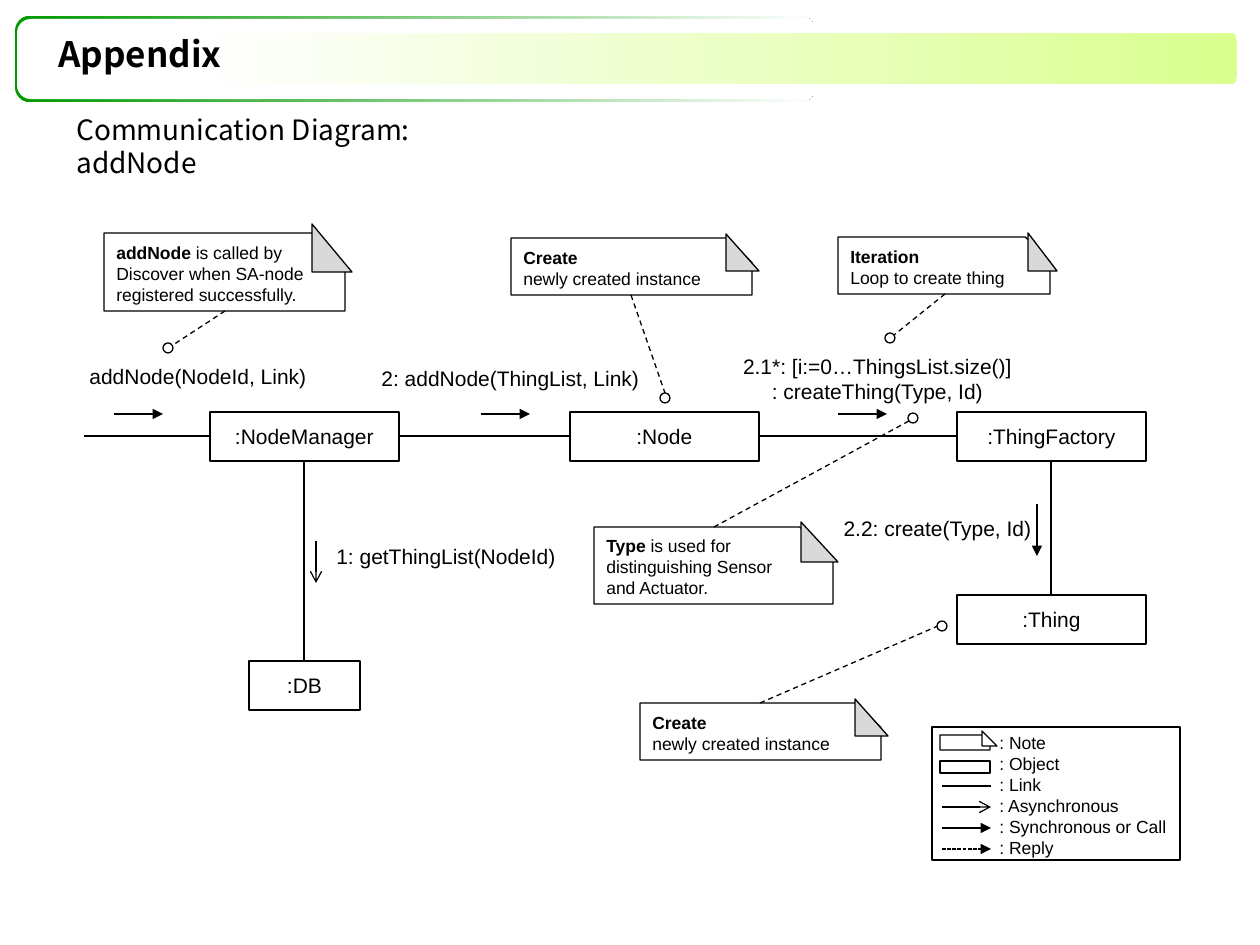
"""Build the addNode communication diagram slide."""
from lxml.etree import SubElement
from pptx import Presentation
from pptx.dml.color import RGBColor
from pptx.enum.dml import MSO_LINE
from pptx.enum.shapes import MSO_CONNECTOR, MSO_SHAPE
from pptx.enum.text import MSO_ANCHOR, PP_ALIGN
from pptx.oxml.ns import qn
from pptx.util import Emu, Pt

PX = 914400 / 126
BLACK, WHITE, GREY = "000000", "FFFFFF", "D9D9D9"
HEADING_FONT = "Noto Sans CJK KR"

presentation = Presentation()
presentation.slide_width = Emu(round(1260 * PX))
presentation.slide_height = Emu(round(945 * PX))
slide = presentation.slides.add_slide(presentation.slide_layouts[6])


def add_box(kind, bounds, fill=WHITE, outline=BLACK, text="", size=12,
            align=PP_ALIGN.CENTER, anchor=MSO_ANCHOR.MIDDLE, font="Arial"):
    """Add a shape, or a text box if kind is None; **marks** make bold runs."""
    bounds = [Emu(round(length * PX)) for length in bounds]
    if kind is None:
        shape = slide.shapes.add_textbox(*bounds)
    else:
        shape = slide.shapes.add_shape(kind, *bounds)
        shape.shadow.inherit = False
        shape.fill.solid()
        shape.fill.fore_color.rgb = RGBColor.from_string(fill)
        if outline:
            shape.line.color.rgb = RGBColor.from_string(outline)
            shape.line.width = Pt(0.75)
        else:
            shape.line.fill.background()
    if text:
        frame = shape.text_frame
        frame.word_wrap = True
        frame.vertical_anchor = anchor
        for number, line in enumerate(text.split("\n")):
            paragraph = frame.add_paragraph() if number else frame.paragraphs[0]
            paragraph.alignment = align
            paragraph.font.size = Pt(size)
            paragraph.font.name = font
            paragraph.font.color.rgb = RGBColor.from_string(BLACK)
            for index, piece in enumerate(line.split("**")):
                if piece:
                    run = paragraph.add_run()
                    run.text = piece
                    run.font.bold = index % 2 == 1
                    run.font.color.rgb = RGBColor.from_string(BLACK)
    return shape


def add_line(ends, arrow=None, dash=None):
    """Add a thin black line with an optional arrowhead and dash."""
    connector = slide.shapes.add_connector(
        MSO_CONNECTOR.STRAIGHT, *[Emu(round(length * PX)) for length in ends])
    connector.line.color.rgb = RGBColor.from_string(BLACK)
    connector.line.width = Pt(0.75)
    if dash:
        connector.line.dash_style = dash
    if arrow:
        SubElement(connector.line._get_or_add_ln(), qn("a:tailEnd"), type=arrow)
    SubElement(connector._element.spPr, qn("a:effectLst"))


for bounds, corner, colors in [
    ((15, 16, 800, 86), 0.17, ("009900", WHITE)),
    ((17, 19, 800, 80), 0.17, None),
    ((199, 33, 1038, 51), 0.14, (WHITE, "DAFF8F")),
]:
    band = add_box(MSO_SHAPE.ROUNDED_RECTANGLE, bounds, outline=None)
    band.adjustments[0] = corner
    if colors:
        band.fill.gradient()
        band.fill.gradient_angle = 0
        for stop, color in zip(band.fill.gradient_stops, colors):
            stop.color.rgb = RGBColor.from_string(color)

add_box(None, (46, 26, 1046, 54), text="**Appendix**", size=20,
        align=PP_ALIGN.LEFT, font=HEADING_FONT)
add_box(None, (64, 106, 440, 80), text="Communication Diagram: addNode",
        size=16, align=PP_ALIGN.LEFT, anchor=MSO_ANCHOR.TOP, font=HEADING_FONT)

for link in [(84, 436, 210, 436), (399, 436, 570, 436), (759, 436, 957, 436),
             (304, 461, 304, 661), (1051, 461, 1051, 595)]:
    add_line(link)

for name, left, top, width in [
    (":NodeManager", 210, 412, 189),
    (":Node", 570, 412, 189),
    (":ThingFactory", 957, 412, 189),
    (":Thing", 957, 595, 189),
    (":DB", 249, 661, 111),
]:
    add_box(MSO_SHAPE.RECTANGLE, (left, top, width, 49), text=name)

for label, left, top, width in [
    ("addNode(NodeId, Link)", 64, 352, 268),
    ("1: getThingList(NodeId)", 312, 532, 268),
    ("2: addNode(ThingList, Link)", 362, 354, 297),
    ("2.1*: [i:=0…ThingsList.size()]\n: createThing(Type, Id)", 729, 354, 297),
    ("2.2: create(Type, Id)", 789, 504, 297),
]:
    add_box(None, (left, top, width, 49), text=label)

for left in (114, 481, 838):
    add_line((left, 414, left + 49, 414), "triangle")
add_line((316, 541, 316, 583), "arrow")
add_line((1037, 504, 1037, 556), "triangle")

for text, note, fold, tether, circle in [
    ("**addNode** is called by Discover when SA-node registered successfully.",
     (104, 233, 241, 78), (312, 224, 40, 48), (225, 311, 173, 345), (168, 348)),
    ("**Create**\nnewly created instance",
     (511, 238, 241, 57), (726, 234, 33, 37), (631, 295, 665, 393), (665, 398)),
    ("**Iteration**\nLoop to create thing",
     (838, 237, 212, 57), (1028, 233, 29, 38), (945, 294, 894, 335), (890, 338)),
    ("**Type** is used for distinguishing Sensor and Actuator.",
     (594, 527, 239, 77), (801, 522, 37, 40), (714, 527, 909, 421), (913, 418)),
    ("**Create**\nnewly created instance",
     (640, 703, 241, 57), (855, 699, 33, 37), (760, 703, 938, 626), (942, 626)),
]:
    paper = add_box(MSO_SHAPE.SNIP_1_RECTANGLE, note, text=text, size=10,
                    align=PP_ALIGN.LEFT, anchor=MSO_ANCHOR.BOTTOM)
    paper.adjustments[0] = 0.43
    add_box(MSO_SHAPE.RIGHT_TRIANGLE, fold, fill=GREY)
    add_line(tether, dash=MSO_LINE.DASH)
    add_box(MSO_SHAPE.OVAL, (circle[0] - 5, circle[1] - 5, 10, 10))

add_box(MSO_SHAPE.RECTANGLE, (932, 727, 248, 133))
add_box(None, (987, 730, 198, 130), size=10, align=PP_ALIGN.LEFT,
        text=": Note\n: Object\n: Link\n: Asynchronous\n: Synchronous or Call\n: Reply")
legend_note = add_box(MSO_SHAPE.SNIP_1_RECTANGLE, (940, 735, 50, 15))
legend_note.adjustments[0] = 0.43
add_box(MSO_SHAPE.RIGHT_TRIANGLE, (982, 731, 15, 15))
add_box(MSO_SHAPE.RECTANGLE, (940, 761, 50, 12))
for row, (arrow, dash) in enumerate([
    (None, None), ("arrow", None), ("triangle", None), ("triangle", MSO_LINE.SQUARE_DOT),
]):
    add_line((942, 786 + 21 * row, 991, 786 + 21 * row), arrow, dash)

presentation.save("out.pptx")
